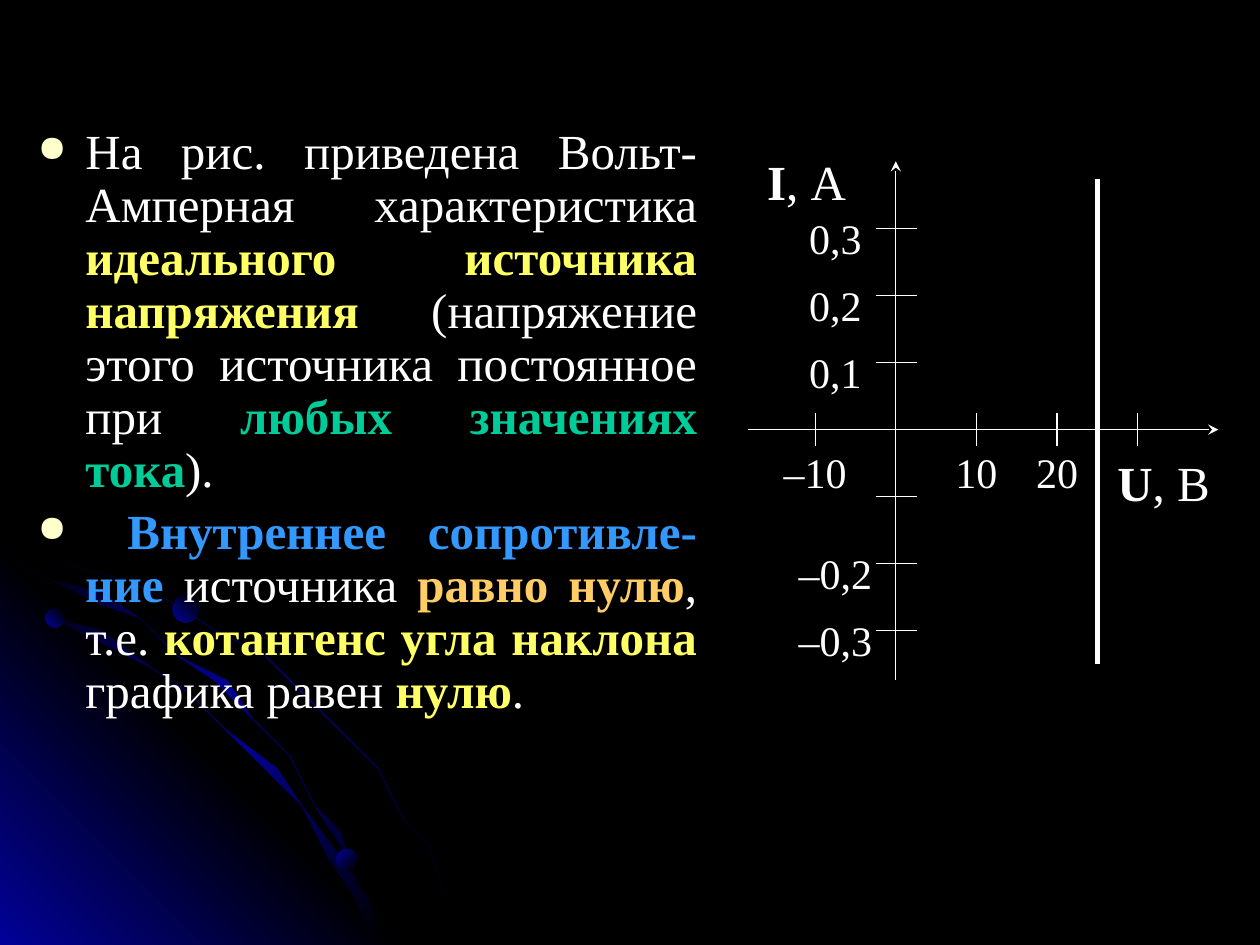
"""Build the slide on the current-voltage characteristic of an ideal voltage source."""
from copy import deepcopy

from lxml.etree import SubElement
from pptx import Presentation
from pptx.dml.color import RGBColor
from pptx.enum.shapes import MSO_CONNECTOR, MSO_SHAPE
from pptx.enum.text import PP_ALIGN
from pptx.oxml.ns import qn
from pptx.util import Inches, Pt

rgb = RGBColor.from_string
WHITE, YELLOW, GREEN, SKY, ORANGE = "FFFFFF", "FFFF66", "00CC99", "3399FF", "FFCC66"
BLACK, NAVY = "000000", "010199"

deck = Presentation()
deck.slide_width, deck.slide_height = Inches(10), Inches(7.5)
column, row = deck.slide_width / 100, deck.slide_height / 75
slide = deck.slides.add_slide(deck.slide_layouts[6])
slide.background.fill.solid()
slide.background.fill.fore_color.rgb = rgb(BLACK)


def write(place, paragraphs, size, align, margins):
    """Add a text box, placed in grid cells, with runs of (text, colour, bold)."""
    left, top, width, height = place
    box = slide.shapes.add_textbox(
        int(left * column), int(top * row), int(width * column), int(height * row))
    frame = box.text_frame
    for name, value in {"word_wrap": True, **margins}.items():
        setattr(frame, name, value)
    for index, runs in enumerate(paragraphs):
        paragraph = frame.add_paragraph() if index else frame.paragraphs[0]
        paragraph.alignment = align
        for words, colour, bold in runs:
            run = paragraph.add_run()
            run.text = words
            for name, value in {"name": "Times New Roman", "size": Pt(size), "bold": bold}.items():
                setattr(run.font, name, value)
            run.font.color.rgb = rgb(colour)
    return frame


def draw(start, end, weight=0.75, arrow=False):
    """Add a white line between two grid points."""
    stroke = slide.shapes.add_connector(
        MSO_CONNECTOR.STRAIGHT, int(start[0] * column), int(start[1] * row),
        int(end[0] * column), int(end[1] * row))
    stroke.line.color.rgb = rgb(WHITE)
    stroke.line.width = Pt(weight)
    if arrow:
        SubElement(stroke.line._get_or_add_ln(), qn("a:tailEnd"), type="stealth")
    SubElement(stroke._element.spPr, qn("a:effectLst"))


wide_orbit = [
    (0, 43.5), (2.8, 44.1), (5.7, 44.7), (9.8, 45.9), (13.6, 47.7), (17.4, 49.7),
    (20.9, 52.1), (24.2, 54.8), (27.2, 57.8), (30, 61.1), (32.5, 64.8), (33.9, 67.3),
    (35.2, 69.8), (36.2, 72.3), (37.2, 74.9)]
low_orbit = [
    (0, 47.5), (4.1, 48.8), (7.9, 50.5), (11.7, 52.6), (15.2, 54.9), (18.4, 57.6),
    (21.5, 60.6), (24.2, 64), (26.6, 67.6), (28.6, 71.2), (29.6, 73), (30.3, 74.9)]
middle_orbit = [
    (0, 44.2), (3.9, 45.5), (7.6, 47.3), (11.1, 49.3), (14.4, 51.6), (17.5, 54.3),
    (20.4, 57.3), (22.9, 60.3), (25.4, 63.9), (26.9, 66.5), (28.2, 69.3), (29.4, 72),
    (30.3, 74.9)]
corner = [(32.2, 74.9), (0, 74.9), (0, 42.7)]

trails = []
for edge in (wide_orbit, low_orbit, middle_orbit):
    last = len(edge) - 1
    inner = [(x - 0.2 * i / last, y + 0.25 * (1 - i / last)) for i, (x, y) in enumerate(edge)]
    trails.append((edge + inner[::-1], [BLACK, NAVY, BLACK], 315))
trails.insert(1, (corner, [NAVY, BLACK, NAVY], 45))

backdrop = []
for points, colours, angle in trails:
    outline = slide.shapes.build_freeform(*points[0], scale=(column, row))
    outline.add_line_segments(points[1:], close=True)
    backdrop.append((outline.convert_to_shape(), colours, angle))
for left, top, size, angle in ((3.6, 48.3, 1.5, 45), (26.7, 67.4, 1.6, 315), (13.7, 47.3, 2.1, 45)):
    planet = slide.shapes.add_shape(
        MSO_SHAPE.OVAL, int(left * column), int(top * row), int(size * column), int(size * row))
    backdrop.append((planet, [NAVY, BLACK], angle))

for glow, colours, angle in backdrop:
    glow.shadow.inherit = False
    glow.line.fill.background()
    glow.fill.gradient()
    glow.fill.gradient_angle = angle
    stops = glow._element.spPr.find(".//" + qn("a:gsLst"))
    if len(colours) > len(stops):
        stops.append(deepcopy(stops[-1]))
    for index, (stop, colour) in enumerate(zip(glow.fill.gradient_stops, colours)):
        stop.color.rgb = rgb(colour)
        stop.position = index / (len(colours) - 1)

explanation = write((2, 9.1, 54.3, 55.9), [
    [("На рис. приведена Вольт-Амперная характеристика ", WHITE, False),
     ("идеального источника напряжения", YELLOW, True),
     (" (напряжение этого источника постоянное при ", WHITE, False),
     ("любых значениях тока", GREEN, True),
     (").", WHITE, False)],
    [(" ", WHITE, False),
     ("Внутреннее сопротивле-ние", SKY, True),
     (" источника ", WHITE, False),
     ("равно нулю", ORANGE, True),
     (", т.е. ", WHITE, False),
     ("котангенс угла наклона", YELLOW, True),
     (" графика равен ", WHITE, False),
     ("нулю", YELLOW, True),
     (".", WHITE, False)],
], 28, PP_ALIGN.JUSTIFY, {"margin_top": Inches(0.1)})
for point in explanation.paragraphs:
    layout = point._p.get_or_add_pPr()
    layout.set("marL", str(Inches(0.38)))
    layout.set("indent", str(-Inches(0.38)))
    SubElement(SubElement(layout, qn("a:buClr")), qn("a:srgbClr"), val="FFFFCC")
    SubElement(layout, qn("a:buSzPct"), val="75000")
    SubElement(layout, qn("a:buChar"), char="●")
    point.line_spacing = 0.9
explanation.paragraphs[1].space_before = Pt(5.6)

zero_x, zero_y, volt_step, amp_step = 71.1, 34.1, 6.4, 5.32
draw((zero_x, 54), (zero_x, 12.8), arrow=True)
draw((59.4, zero_y), (96.7, zero_y), arrow=True)
for tick in (-1, 1, 2, 3):
    x = zero_x + tick * volt_step
    draw((x, zero_y - 1.3), (x, zero_y + 1.3))
for tick in range(-3, 4):
    y = zero_y - tick * amp_step
    draw((zero_x - 1.6, y), (zero_x + 1.7, y))

flush = dict.fromkeys(("margin_left", "margin_right", "margin_top", "margin_bottom"), 0)
scale_labels = [
    (zero_x + tick * volt_step - 3.2, zero_y + 1.3, label)
    for tick, label in ((-1, "–10"), (1, "10"), (2, "20"))]
scale_labels += [
    (zero_x - 8, zero_y - tick * amp_step - 1.3, label)
    for tick, label in ((3, "0,3"), (2, "0,2"), (1, "0,1"), (-2, "–0,2"), (-3, "–0,3"))]
for left, top, label in scale_labels:
    write((left, top, volt_step, 4), [[(label, WHITE, False)]], 24, PP_ALIGN.CENTER, flush)

write((87.2, 35.4, 10.3, 5.3), [[("U", WHITE, True), (", В", WHITE, False)]],
      28, PP_ALIGN.CENTER, {"margin_left": 0, "margin_right": 0})
write((59.9, 11.5, 11.2, 5.3), [[("I", WHITE, True), (", А", WHITE, False)]],
      28, PP_ALIGN.LEFT, {})
draw((87.1, 52.7), (87.1, 14.2), weight=3)

deck.save("out.pptx")
